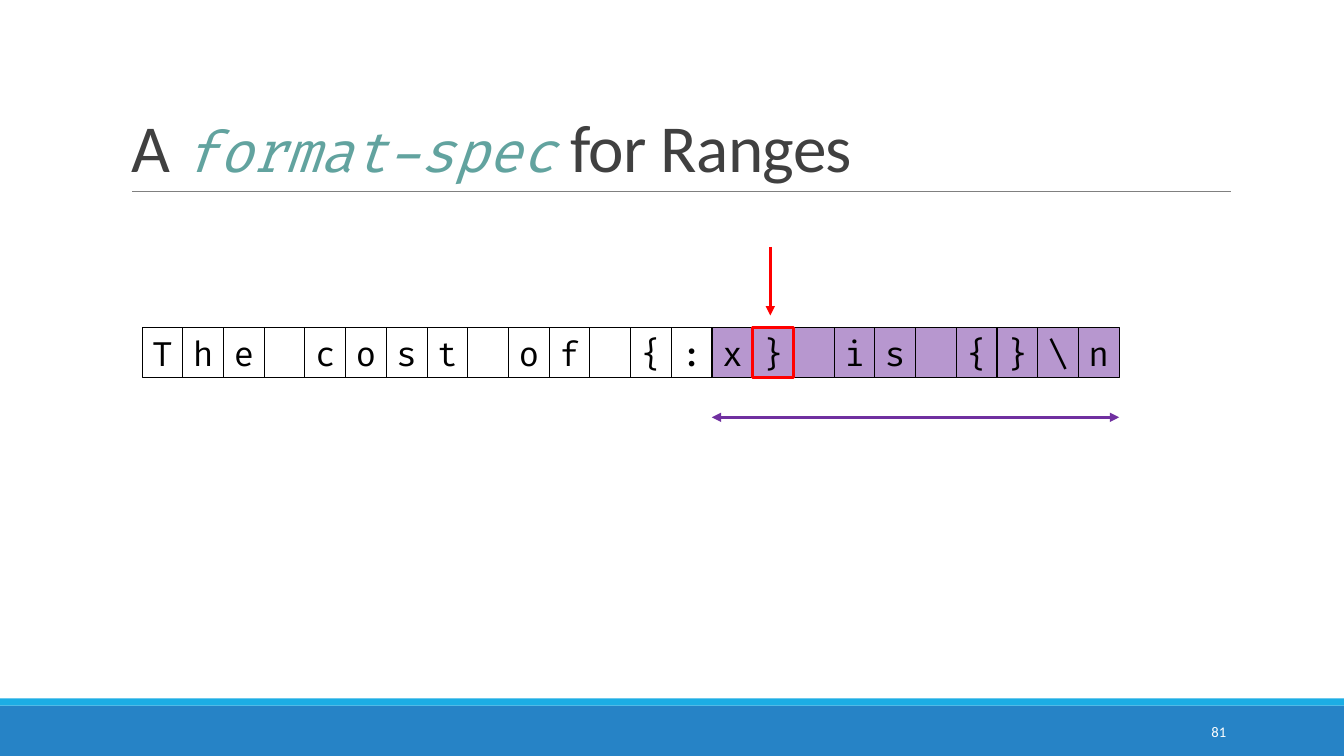
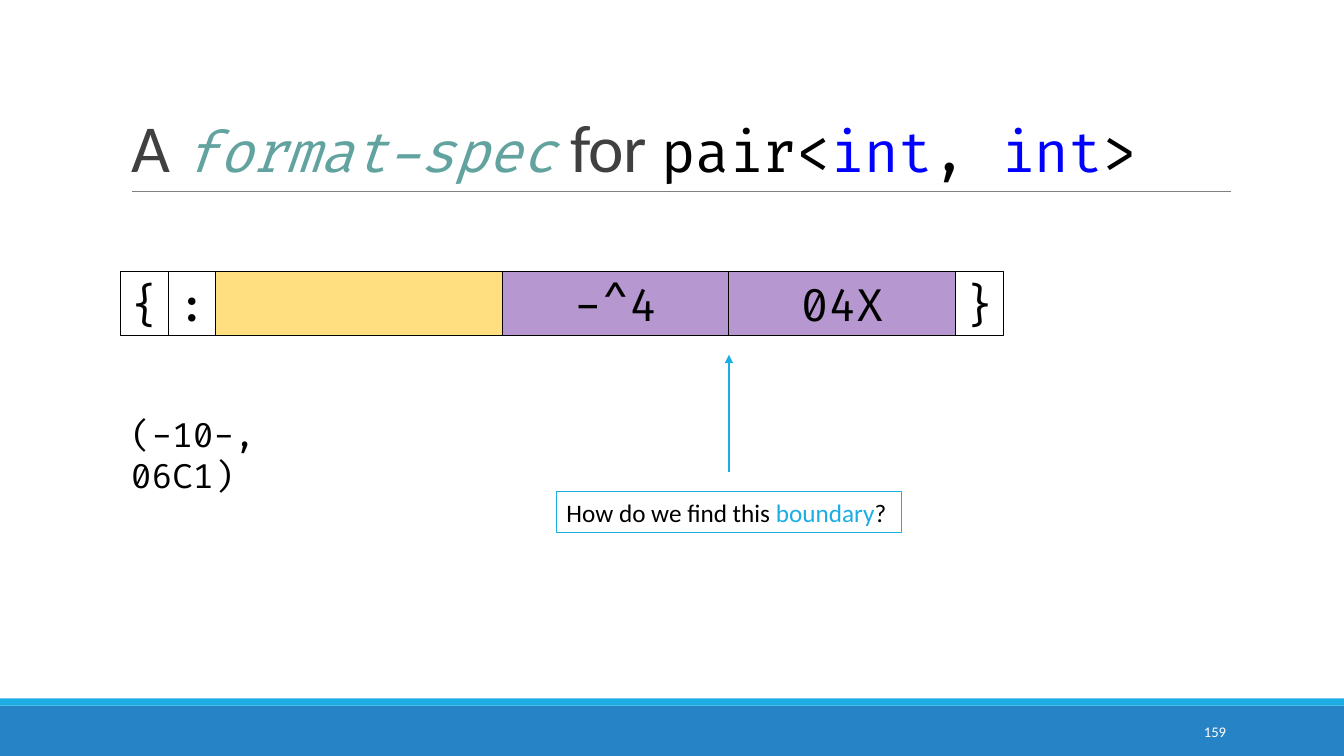
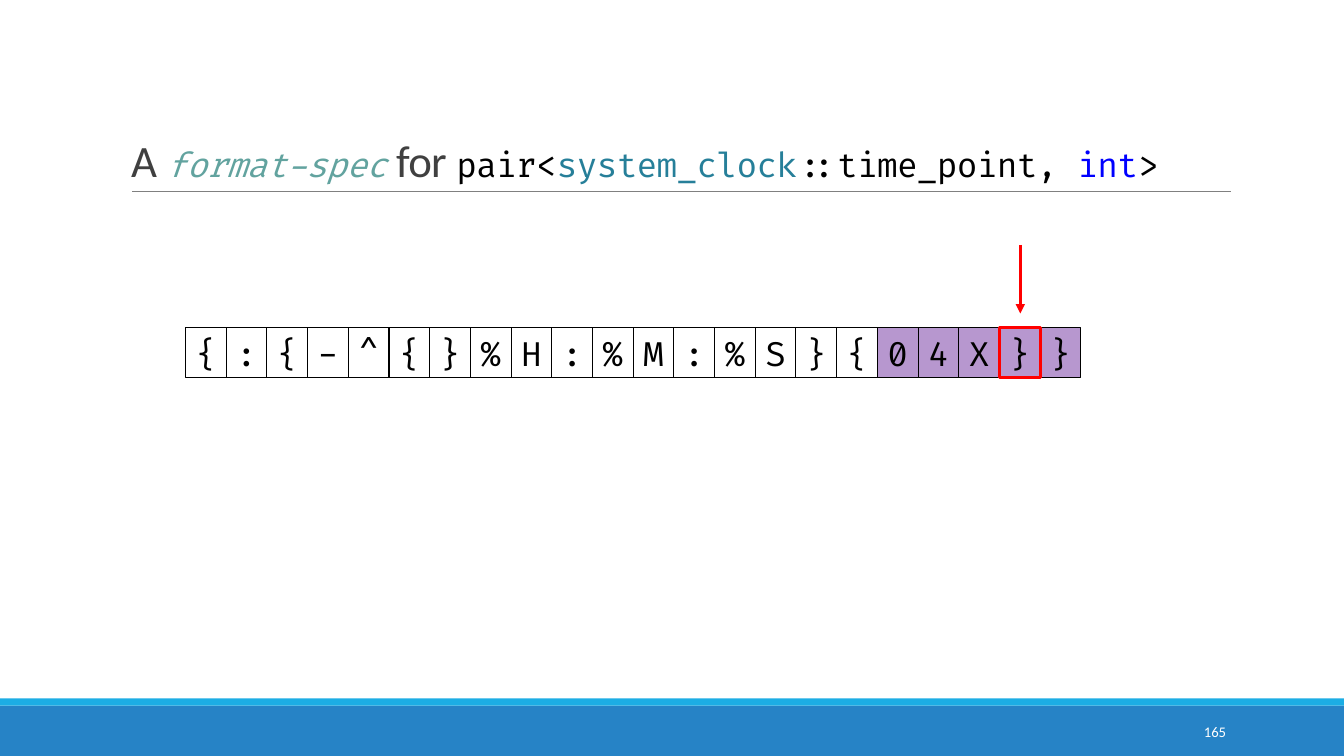
from lxml import etree
from pptx import Presentation
from pptx.dml.color import RGBColor
from pptx.enum import shapes, text
from pptx.oxml import ns
from pptx.util import Inches, Pt

COLORS = {
    "band": "2683C6",
    "accent": "1CADE4",
    "rule": "808080",
    "title": "404040",
    "spec": "62A39F",
    "keyword": "0000FF",
    "type": "267F99",
    "purple": "7030A0",
    "yellow": "FFC000",
    "red": "FF0000",
    "black": "000000",
    "white": "FFFFFF",
}
BODY_FONT = "Calibri"
CODE_FONT = "Fira Code"


def color(name):
    return RGBColor.from_string(COLORS[name])


def add_run(paragraph, words, size, color_name="black", font=CODE_FONT, italic=False):
    run = paragraph.add_run()
    run.text = words
    run.font.name = font
    run.font.size = Pt(size)
    run.font.color.rgb = color(color_name)
    run.font.italic = italic
    return run


def add_box(slide, left, top, width, height, fill=None, line=None, weight=0.75, opacity=100):
    """Add a rectangle; fill and line are colour names, or None for none."""
    box = slide.shapes.add_shape(shapes.MSO_SHAPE.RECTANGLE, Inches(left), Inches(top),
                                 Inches(width), Inches(height))
    box.shadow.inherit = False
    if fill:
        box.fill.solid()
        box.fill.fore_color.rgb = color(fill)
        if opacity < 100:
            value = box._element.spPr.find(".//" + ns.qn("a:srgbClr"))
            etree.SubElement(value, ns.qn("a:alpha")).set("val", str(opacity * 1000))
    else:
        box.fill.background()
    if line:
        box.line.color.rgb = color(line)
        box.line.width = Pt(weight)
    else:
        box.line.fill.background()
    return box


def add_line(slide, start, end, line, weight, head=False, tail=False):
    """Draw a straight line with optional arrowheads at its start (head) and end (tail)."""
    connector = slide.shapes.add_connector(shapes.MSO_CONNECTOR.STRAIGHT,
                                           *(Inches(value) for value in (*start, *end)))
    connector.line.color.rgb = color(line)
    connector.line.width = Pt(weight)
    outline = connector.line._get_or_add_ln()
    for wanted, tag in ((head, "a:headEnd"), (tail, "a:tailEnd")):
        if wanted:
            etree.SubElement(outline, ns.qn(tag)).set("type", "triangle")
    etree.SubElement(connector._element.spPr, ns.qn("a:effectLst"))


def add_text(slide, left, top, width, height, runs, align=text.PP_ALIGN.LEFT,
             anchor=text.MSO_ANCHOR.TOP):
    box = slide.shapes.add_textbox(Inches(left), Inches(top), Inches(width), Inches(height))
    box.text_frame.word_wrap = True
    box.text_frame.vertical_anchor = anchor
    paragraph = box.text_frame.paragraphs[0]
    paragraph.alignment = align
    for run in runs:
        add_run(paragraph, *run)


def add_title(slide, size, plain_end, code_runs):
    """Write 'A format-spec' and its ending; code is 8 points smaller than prose."""
    title = slide.shapes.title
    title.left, title.top = Inches(1.2), Inches(0.31)
    title.width, title.height = Inches(11), Inches(1.59)
    frame = title.text_frame
    frame.word_wrap = True
    frame.auto_size = text.MSO_AUTO_SIZE.NONE
    frame.vertical_anchor = text.MSO_ANCHOR.BOTTOM
    paragraph = frame.paragraphs[0]
    paragraph.alignment = text.PP_ALIGN.LEFT
    paragraph.line_spacing = 0.85
    code_size = size - 8
    add_run(paragraph, "A ", size, "title", BODY_FONT)
    add_run(paragraph, "format-spec", code_size, "spec", italic=True)
    add_run(paragraph, plain_end, size, "title", BODY_FONT)
    for words, color_name in code_runs:
        add_run(paragraph, words, code_size, color_name)
    for run in paragraph.runs:
        run.font._element.set("spc", "-50")


def add_framed_slide(presentation, number, size, plain_end, code_runs=()):
    """Add a slide with the shared bands, rule, title and page number."""
    slide = presentation.slides.add_slide(presentation.slide_layouts[5])
    add_box(slide, 0, 7, 13.33, 0.5, "band")
    add_box(slide, 0, 6.93, 13.33, 0.07, "accent")
    add_line(slide, (1.31, 1.9), (12.21, 1.9), "rule", 0.5)
    add_title(slide, size, plain_end, code_runs)
    add_text(slide, 10.83, 7.06, 1.43, 0.4, [(str(number), 10.5, "white", BODY_FONT)],
             text.PP_ALIGN.RIGHT, text.MSO_ANCHOR.MIDDLE)
    return slide


def add_cell(slide, left, top, width, height, words, size, fill=None):
    cell = add_box(slide, left, top, width, height, fill, "black", opacity=50)
    frame = cell.text_frame
    frame.word_wrap = False
    frame.margin_left = frame.margin_right = 0
    frame.vertical_anchor = text.MSO_ANCHOR.MIDDLE
    if words.strip():
        paragraph = frame.paragraphs[0]
        paragraph.alignment = text.PP_ALIGN.CENTER
        add_run(paragraph, words, size)


def add_character_row(slide, left, width, characters, first_purple, marked):
    """Spread characters over equal cells, purple from one index on, one outlined in red."""
    top, height = 3.25, 0.5
    pitch = width / len(characters)
    for index, character in enumerate(characters):
        fill = "purple" if index >= first_purple else None
        add_cell(slide, left + index * pitch, top, pitch, height, character, 24, fill)
    add_box(slide, left + marked * pitch, top, pitch, height, line="red", weight=2.25)


def add_pointer(slide, x, top):
    add_line(slide, (x, top), (x, top + 0.68), "red", 2.25, tail=True)


def build_ranges_slide(presentation):
    slide = add_framed_slide(presentation, 81, 48, " for Ranges")
    add_character_row(slide, 1.41, 9.69, r"The cost of {:x} is {}\n", 14, 15)
    add_line(slide, (7.06, 4.14), (11.1, 4.14), "purple", 2.25, head=True, tail=True)
    add_pointer(slide, 7.64, 2.45)


def build_pair_slide(presentation):
    slide = add_framed_slide(presentation, 159, 48, " for ", [
        ("pair<", "black"), ("int", "keyword"), (", ", "black"),
        ("int", "keyword"), (">", "black")])
    left = 1.2
    for words, width, fill in (("{", 0.47, None), (":", 0.47, None), ("", 2.84, "yellow"),
                               ("-^4", 2.25, "purple"), ("04X", 2.25, "purple"),
                               ("}", 0.47, None)):
        add_cell(slide, left, 2.69, width, 0.64, words, 32, fill)
        left += width
    add_text(slide, 1.2, 4.06, 2.5, 0.5, [("(-10-, 06C1)", 24)])

    add_line(slide, (7.23, 4.68), (7.23, 3.52), "accent", 1, tail=True)
    question = add_box(slide, 5.52, 4.88, 3.42, 0.4, line="accent")
    question.text_frame.word_wrap = True
    paragraph = question.text_frame.paragraphs[0]
    paragraph.alignment = text.PP_ALIGN.LEFT
    for words, color_name in (("How do we find this ", "black"), ("boundary", "accent"),
                              ("?", "black")):
        add_run(paragraph, words, 18, color_name, BODY_FONT)


def build_time_point_slide(presentation):
    slide = add_framed_slide(presentation, 165, 32, " for ", [
        ("pair<", "black"), ("system_clock", "type"), ("::time_point, ", "black"),
        ("int", "keyword"), (">", "black")])
    add_character_row(slide, 1.84, 8.88, "{:{-^{}%H:%M:%S}{04X}}", 17, 20)
    add_pointer(slide, 10.12, 2.43)


def main():
    presentation = Presentation()
    presentation.slide_width = Inches(13.33)
    presentation.slide_height = Inches(7.5)
    build_ranges_slide(presentation)
    build_pair_slide(presentation)
    build_time_point_slide(presentation)
    presentation.save("out.pptx")


if __name__ == "__main__":
    main()
